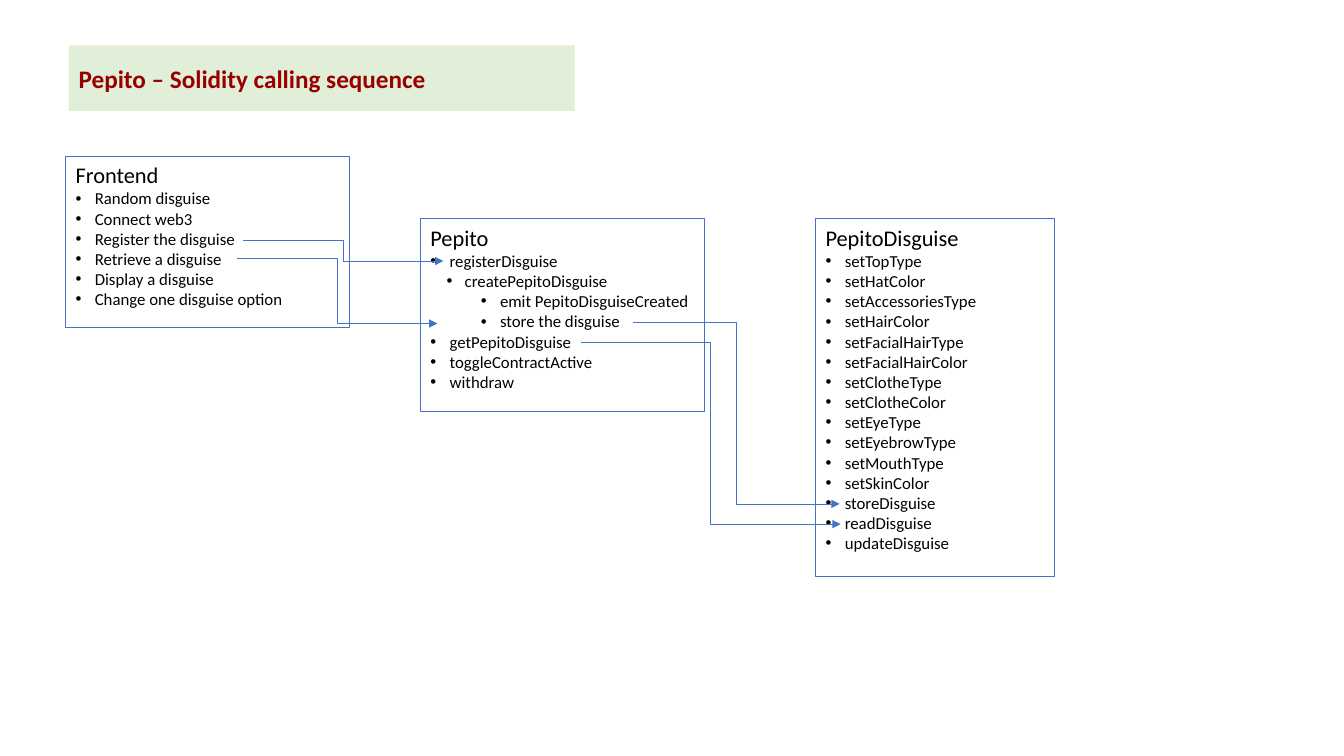
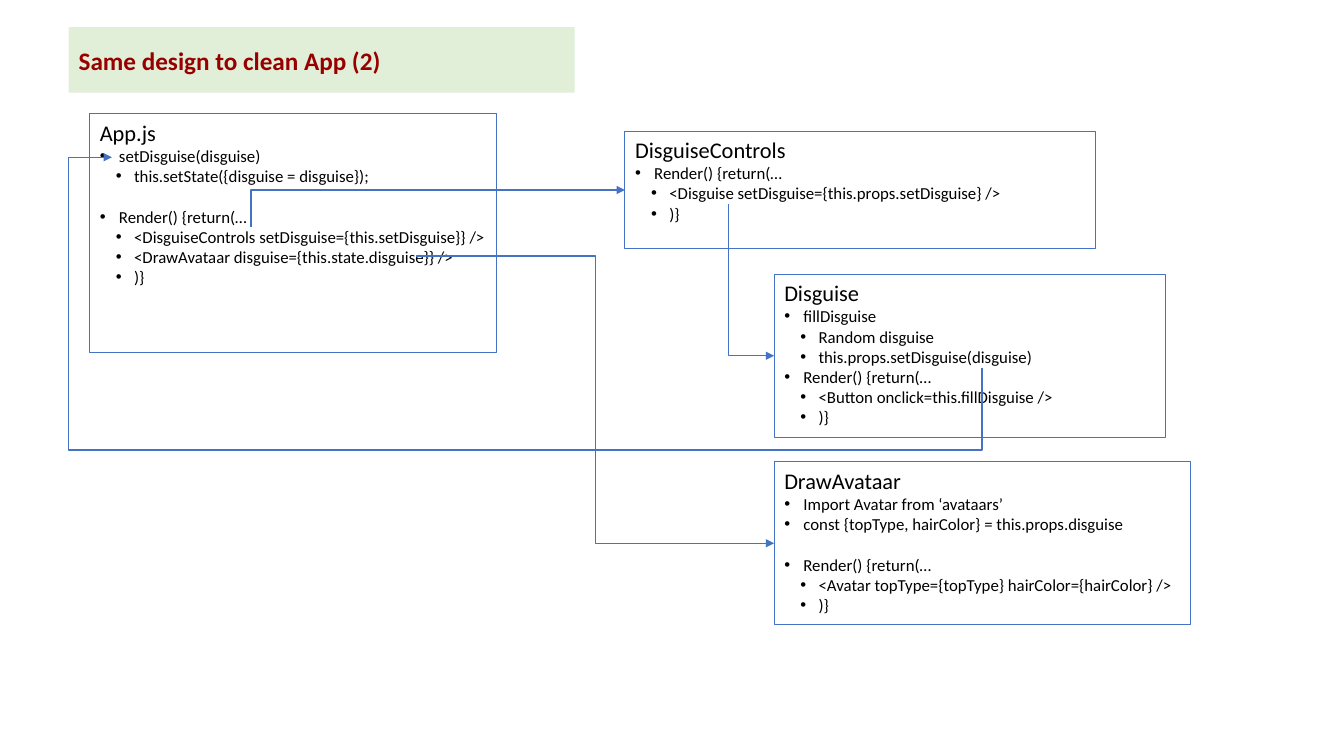
"""Build two slides that show which component calls which."""
import lxml.etree
import pptx
import pptx.dml.color
import pptx.enum.shapes
import pptx.enum.text
import pptx.oxml.ns
import pptx.util

COLOURS = {"band": "E1EFD8", "title": "980000", "line": "4472C4", "text": "000000"}
FONT = "Calibri"
COLUMNS, ROWS = 133.33, 75
WIDTH, HEIGHT = pptx.util.Inches(13.33), pptx.util.Inches(7.5)
INDENTS = [(0.19, 0.19), (0.34, 0.18), (0.69, 0.19)]
COMPARISON_LAYOUT = 4
LEFT_SIDE = 1


def across(columns):
    return round(WIDTH * columns / COLUMNS)


def down(rows):
    return round(HEIGHT * rows / ROWS)


def colour(name):
    return pptx.dml.color.RGBColor.from_string(COLOURS[name])


def add_child(parent, tag, **attributes):
    return lxml.etree.SubElement(parent, pptx.oxml.ns.qn(tag), attributes)


def write(para, text, size=12, bold=False, ink="text", gap=0):
    para.alignment = pptx.enum.text.PP_ALIGN.LEFT
    para.line_spacing = 1.0
    para.space_before = pptx.util.Pt(gap)
    para.space_after = pptx.util.Pt(0)
    span = para.add_run()
    span.text = text
    span.font.name = FONT
    span.font.size = pptx.util.Pt(size)
    span.font.bold = bold
    span.font.color.rgb = colour(ink)


def set_bullet(para, level=None):
    properties = para._p.get_or_add_pPr()
    margin, hanging = (0, 0) if level is None else INDENTS[level]
    properties.set("marL", str(pptx.util.Inches(margin)))
    properties.set("indent", str(pptx.util.Inches(-hanging)))
    if level is None:
        add_child(properties, "a:buNone")
    else:
        add_child(properties, "a:buFont", typeface="Arial")
        add_child(properties, "a:buChar", char="•")


class CallDiagram:
    def __init__(self):
        self.deck = pptx.Presentation()
        self.deck.slide_width, self.deck.slide_height = WIDTH, HEIGHT

    def start_page(self, title, top, weight):
        layout = self.deck.slide_layouts[COMPARISON_LAYOUT]
        self.page = self.deck.slides.add_slide(layout)
        self.weight = weight
        self.free = [holder for holder in self.page.placeholders
                     if holder.placeholder_format.idx > 0]
        band = self.page.shapes.title
        self.place(band, (6.8, top, 50.2, 6.5), pptx.enum.text.MSO_ANCHOR.MIDDLE)
        band.fill.solid()
        band.fill.fore_color.rgb = colour("band")
        write(band.text_frame.paragraphs[0], title, size=18, bold=True, ink="title")

    def place(self, box, area, anchor):
        left, top, width, height = area
        box.left, box.top = across(left), down(top)
        box.width, box.height = across(width), down(height)
        frame = box.text_frame
        frame.word_wrap = True
        frame.auto_size = pptx.enum.text.MSO_AUTO_SIZE.NONE
        frame.vertical_anchor = anchor

    def component(self, name, area, items):
        box = self.free.pop(0)
        self.place(box, area, pptx.enum.text.MSO_ANCHOR.TOP)
        box.line.color.rgb = colour("line")
        box.line.width = pptx.util.Pt(0.75)
        heading = box.text_frame.paragraphs[0]
        write(heading, name, size=16)
        set_bullet(heading)
        for level, text, *gap in items:
            para = box.text_frame.add_paragraph()
            write(para, text, gap=gap[0] if gap else 0)
            set_bullet(para, level)
        return box

    def arrow(self, target, source, preset="bentConnector3", bends=(), box=None):
        link = self.page.shapes.add_connector(
            pptx.enum.shapes.MSO_CONNECTOR.ELBOW,
            across(target[0]), down(target[1]), across(source[0]), down(source[1]))
        if box is not None:
            link.begin_connect(box, LEFT_SIDE)
        link.line.color.rgb = colour("line")
        link.line.width = pptx.util.Pt(self.weight)
        add_child(link.line._get_or_add_ln(), "a:headEnd", type="triangle")
        properties = link._element.spPr
        add_child(properties, "a:effectLst")
        geometry = properties.find(pptx.oxml.ns.qn("a:prstGeom"))
        geometry.set("prst", preset)
        guides = geometry.find(pptx.oxml.ns.qn("a:avLst"))
        for number, share in enumerate(bends, 1):
            add_child(guides, "a:gd", name=f"adj{number}",
                      fmla=f"val {round(share * 100000)}")

    def finish_page(self):
        for holder in self.free:
            holder._element.getparent().remove(holder._element)


def calling_sequence(diagram):
    diagram.start_page("Pepito – Solidity calling sequence", 4.5, 0.5)
    diagram.component("Frontend", (6.5, 15.5, 28.2, 17), [
        (0, "Random disguise"),
        (0, "Connect web3"),
        (0, "Register the disguise"),
        (0, "Retrieve a disguise"),
        (0, "Display a disguise"),
        (0, "Change one disguise option")])
    diagram.component("Pepito", (41.7, 21.7, 28.2, 19.1), [
        (0, "registerDisguise"),
        (1, "createPepitoDisguise"),
        (2, "emit PepitoDisguiseCreated"),
        (2, "store the disguise"),
        (0, "getPepitoDisguise"),
        (0, "toggleContractActive"),
        (0, "withdraw")])
    setters = ["TopType", "HatColor", "AccessoriesType", "HairColor",
               "FacialHairType", "FacialHairColor", "ClotheType", "ClotheColor",
               "EyeType", "EyebrowType", "MouthType", "SkinColor"]
    functions = [f"set{trait}" for trait in setters]
    functions += ["storeDisguise", "readDisguise", "updateDisguise"]
    diagram.component("PepitoDisguise", (80.9, 21.7, 23.7, 35.5),
                      [(0, function) for function in functions])
    for target, source in [((44, 25.9), (24.1, 23.9)),
                           ((43.4, 32.1), (23.5, 25.6)),
                           ((83.3, 50), (62.8, 32)),
                           ((83.4, 52), (57.6, 34)) ]:
        diagram.arrow(target, source)
    diagram.finish_page()


def clean_app(diagram):
    diagram.start_page("Same design to clean App (2)", 2.7, 1)
    line_gap = 14.6
    render = "Render() {return(…"
    diagram.component("App.js", (8.9, 11.3, 40.4, 23.7), [
        (0, "setDisguise(disguise)"),
        (1, "this.setState({disguise = disguise});"),
        (0, render, line_gap),
        (1, "<DisguiseControls setDisguise={this.setDisguise}} />"),
        (1, "<DrawAvataar disguise={this.state.disguise}} />"),
        (1, ")}")])
    controls = diagram.component("DisguiseControls", (62, 13, 46.7, 11.7), [
        (0, render),
        (1, "<Disguise setDisguise={this.props.setDisguise} />"),
        (1, ")}")])
    disguise = diagram.component("Disguise", (76.8, 27.2, 38.8, 16.2), [
        (0, "fillDisguise"),
        (1, "Random disguise"),
        (1, "this.props.setDisguise(disguise)"),
        (0, render),
        (1, "<Button onclick=this.fillDisguise />"),
        (1, ")}")])
    avatar = diagram.component("DrawAvataar", (76.8, 45.8, 41.3, 16.2), [
        (0, "Import Avatar from ‘avataars’"),
        (0, "const {topType, hairColor} = this.props.disguise"),
        (0, render, line_gap),
        (1, "<Avatar topType={topType} hairColor={hairColor} />"),
        (1, ")}")])
    diagram.arrow((62, 18.8), (24.9, 22.5), "bentConnector2", box=controls)
    diagram.arrow((76.8, 35.2), (72.3, 20.2), "bentConnector2", box=disguise)
    diagram.arrow((76.8, 53.9), (41.3, 25.4), box=avatar)
    diagram.arrow((11.1, 15.6), (97.4, 36.5), "bentConnector4", bends=(-0.05, 1.39))
    diagram.finish_page()


def main():
    diagram = CallDiagram()
    calling_sequence(diagram)
    clean_app(diagram)
    diagram.deck.save("out.pptx")


if __name__ == "__main__":
    main()
